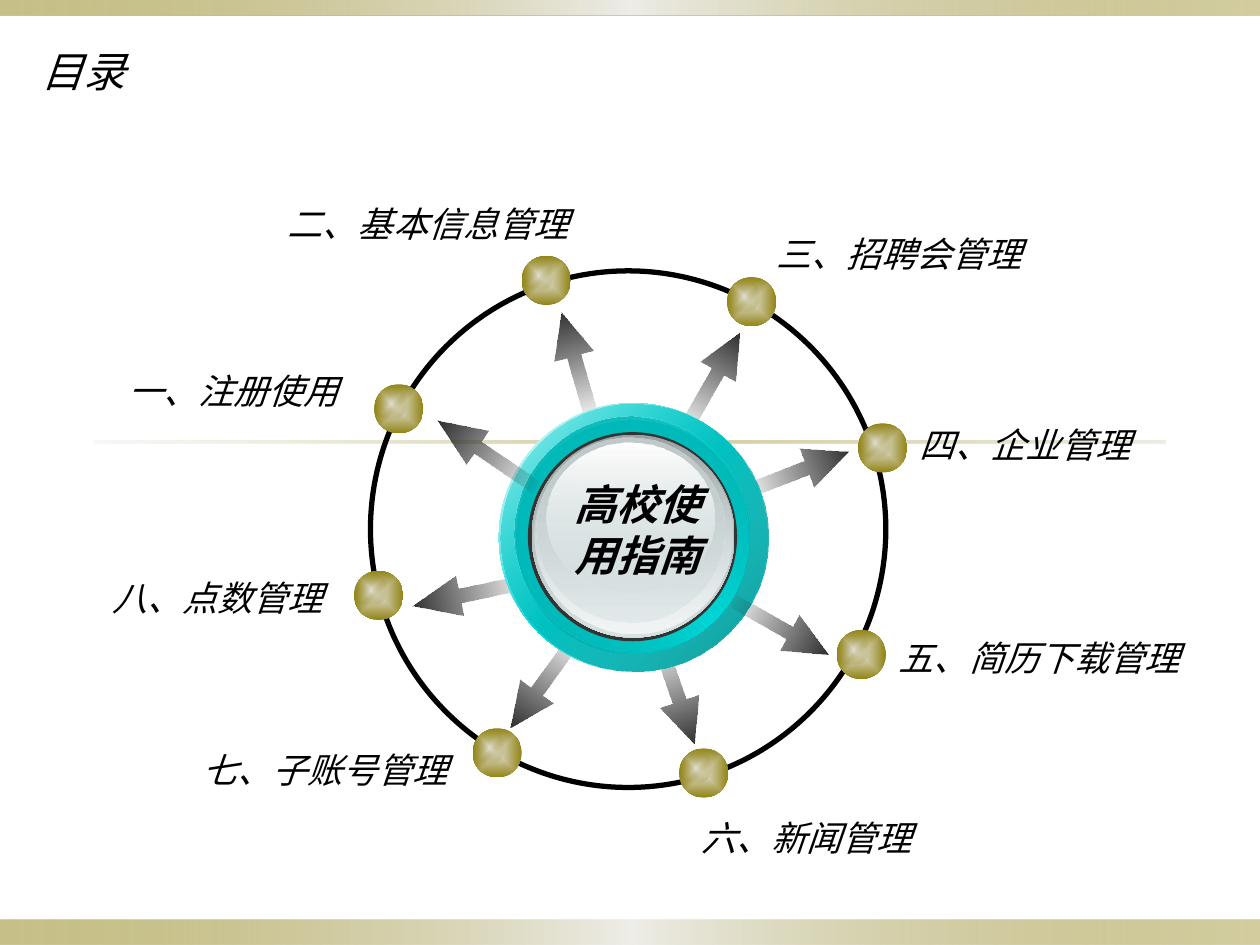
import pptx
import pptx.dml.color
import pptx.enum.shapes
import pptx.enum.text
import pptx.oxml
import pptx.oxml.ns
import pptx.util

COLUMNS, ROWS = 100, 75
SHAPE = pptx.enum.shapes.MSO_SHAPE
ALIGN = pptx.enum.text.PP_ALIGN
COLORS = {
    "black": "000000", "white": "FFFFFF", "olive": "918415", "sand": "EEEDE8",
    "rule": "DCD9CC", "pearl": "E2DFD5", "arrow_tail": "2D2D2D", "arrow_head": "2F2F2F",
    "teal": "00D5D5", "deep_teal": "009898", "rim_teal": "00A3A3", "mid_teal": "00AFAF",
    "bezel": "333333", "steel": "99A1A2", "silver": "D6E1E2", "pale": "F2F5F5",
    "gray": "C1CBCC",
}
# Gradient stops are (position %, colour, opacity %).
BAND = [(0, "olive", 50), (50, "sand", 100), (100, "olive", 40)]
RULE = [(0, "rule", 20), (50, "olive", 40), (100, "rule", 50)]
ARROW = [(0, "arrow_tail", 0), (100, "arrow_head", 100)]

# Label, its left, top, width and alignment; node left, top;
# arrow left, top, length, rotation.
BACK_SPOKES = [
    ("二、基本信息管理", (21.6, 15.6, 24.5), ALIGN.RIGHT, (41.4, 20.3), (41.4, 27.4, 8.7, 254)),
    ("三、招聘会管理", (60.4, 18, 21.7), ALIGN.RIGHT, (57.7, 22), (52.2, 28.6, 8.7, 299.6)),
    ("四、企业管理", (71.9, 33.1, 18.8), ALIGN.RIGHT, (68.1, 33.6), (58.9, 35.8, 8.7, 339.3)),
    ("六、新闻管理", (54.7, 64.3, 18.8), ALIGN.LEFT, (53.9, 59.4), (49.3, 53.3, 8.7, 71.2)),
    ("七、子账号管理", (15.1, 58.9, 21.7), ALIGN.LEFT, (37.5, 57.8), (38.7, 52.6, 8.7, 125.6)),
    ("八、点数管理", (7.8, 45.3, 18.8), ALIGN.RIGHT, (28.1, 45.3), (32.6, 45.5, 9.4, 168.3)),
]
FRONT_SPOKES = [
    ("五、简历下载管理", (70.1, 50, 24.5), ALIGN.RIGHT, (66.4, 50), (57.6, 48.2, 8.7, 29)),
    ("一、注册使用", (9.1, 28.8, 18.8), ALIGN.RIGHT, (29.7, 30.5), (33.9, 34.4, 9.4, 213.7)),
]
# Hub discs from back to front: box, gradient stops, angle.
HUB = [
    ((39.6, 32, 21.3, 21.3), [(0, "white", 100), (50, "teal", 100), (100, "white", 100)], 45),
    ((39.7, 32, 21.3, 21.3), [(0, "teal", 32), (100, "deep_teal", 100)], 45),
    ((41, 33.4, 18.5, 18.5),
     [(0, "rim_teal", 100), (50, "teal", 100), (100, "rim_teal", 100)], 315),
    ((40.8, 33.1, 18.5, 18.5), [(0, "mid_teal", 100), (100, "teal", 0)], 45),
    ((41.9, 34.3, 16.6, 16.6), "bezel", 0),
    ((42.2, 34.5, 16.1, 16.1), [(0, "steel", 100), (100, "silver", 100)], 90),
    ((42.4, 34.6, 15.7, 15.7), [(0, "silver", 0), (100, "pale", 100)], 90),
    ((42.6, 34.7, 14.9, 14.7), [(0, "gray", 100), (100, "silver", 48)], 90),
    ((43.4, 35.1, 13.3, 11.9), [(0, "white", 100), (100, "silver", 38)], 90),
]


class SlideBuilder:
    """Draws on one slide; boxes are given in grid columns and rows."""

    font = "Noto Sans CJK SC"

    def __init__(self, presentation):
        self.slide = presentation.slides.add_slide(presentation.slide_layouts[6])
        self.column = presentation.slide_width / COLUMNS
        self.row = presentation.slide_height / ROWS

    def place(self, box):
        left, top, width, height = box
        return [round(value) for value in (left * self.column, top * self.row,
                                           width * self.column, height * self.row)]

    def color(self, name):
        return pptx.dml.color.RGBColor.from_string(COLORS[name])

    def gradient(self, shape, stops, angle):
        """Fill with a linear gradient, or from the centre out when angle is None."""
        stop_xml = "".join(
            f'<a:gs pos="{position * 1000}"><a:srgbClr val="{COLORS[name]}">'
            f'<a:alpha val="{opacity * 1000}"/></a:srgbClr></a:gs>'
            for position, name, opacity in stops)
        if angle is None:
            direction = ('<a:path path="shape"><a:fillToRect l="50000" t="50000" '
                         'r="50000" b="50000"/></a:path>')
        else:
            direction = f'<a:lin ang="{angle * 60000}" scaled="0"/>'
        fill = pptx.oxml.parse_xml(
            f'<a:gradFill {pptx.oxml.ns.nsdecls("a")} rotWithShape="1">'
            f'<a:gsLst>{stop_xml}</a:gsLst>{direction}</a:gradFill>')
        shape._element.spPr.find(pptx.oxml.ns.qn("a:prstGeom")).addnext(fill)

    def shape(self, kind, box, fill=None, angle=0):
        shape = self.slide.shapes.add_shape(kind, *self.place(box))
        shape.shadow.inherit = False
        shape.line.fill.background()
        if fill is None:
            shape.fill.background()
        elif isinstance(fill, str):
            shape.fill.solid()
            shape.fill.fore_color.rgb = self.color(fill)
        else:
            self.gradient(shape, fill, angle)
        return shape

    def ring(self, box):
        ring = self.shape(SHAPE.OVAL, box)
        ring.line.color.rgb = self.color("black")
        ring.line.width = pptx.util.Pt(3)

    def node(self, left, top):
        for box, opacity in (((left, top, 3.9, 3.9), 100),
                             ((left + 0.15, top + 0.3, 2.4, 2.5), 0)):
            self.shape(SHAPE.OVAL, box, [(0, "pearl", 100), (100, "olive", opacity)], None)

    def arrow(self, left, top, length, rotation):
        arrow = self.shape(SHAPE.RIGHT_ARROW, (left, top, length, 3.2), ARROW)
        arrow.adjustments[0] = 0.35
        arrow.adjustments[1] = length / 7.8
        arrow.rotation = rotation

    def text(self, box, text, size, alignment=ALIGN.LEFT, bold=False, wrap=False):
        text_frame = self.slide.shapes.add_textbox(*self.place(box)).text_frame
        text_frame.text = text
        text_frame.word_wrap = wrap
        text_frame.auto_size = pptx.enum.text.MSO_AUTO_SIZE.SHAPE_TO_FIT_TEXT
        for paragraph in text_frame.paragraphs:
            paragraph.alignment = alignment
            for run in paragraph.runs:
                run.font.size = pptx.util.Pt(size)
                run.font.bold = bold
                run.font.italic = True
                run.font.color.rgb = self.color("black")
                run.font.name = self.font
                east_asian = pptx.oxml.parse_xml(
                    f'<a:ea {pptx.oxml.ns.nsdecls("a")} typeface="{self.font}"/>')
                run.font._element.append(east_asian)

    def spoke(self, label, label_box, alignment, node, arrow):
        self.arrow(*arrow)
        self.node(*node)
        self.text((*label_box, 4.4), label, 20, alignment)


def main():
    presentation = pptx.Presentation()
    presentation.slide_width = pptx.util.Inches(10)
    presentation.slide_height = pptx.util.Inches(7.5)
    builder = SlideBuilder(presentation)

    builder.shape(SHAPE.RECTANGLE, (0, 73, COLUMNS, 2), BAND)
    builder.shape(SHAPE.RECTANGLE, (0, 0, COLUMNS, 1.2), BAND)
    builder.shape(SHAPE.RECTANGLE, (7.5, 35, 85, 0.2), RULE)
    builder.text((2.3, 3.1, 18, 5), "目录", 24, wrap=True)

    builder.ring((29.4, 21.5, 40.9, 41))
    for spoke in BACK_SPOKES:
        builder.spoke(*spoke)
    for box, fill, angle in HUB:
        builder.shape(SHAPE.OVAL, box, fill, angle)
    builder.text((44.5, 37.5, 12.2, 9.1), "高校使\n用指南", 24, ALIGN.CENTER, bold=True)
    for spoke in FRONT_SPOKES:
        builder.spoke(*spoke)

    presentation.save("out.pptx")


if __name__ == "__main__":
    main()
